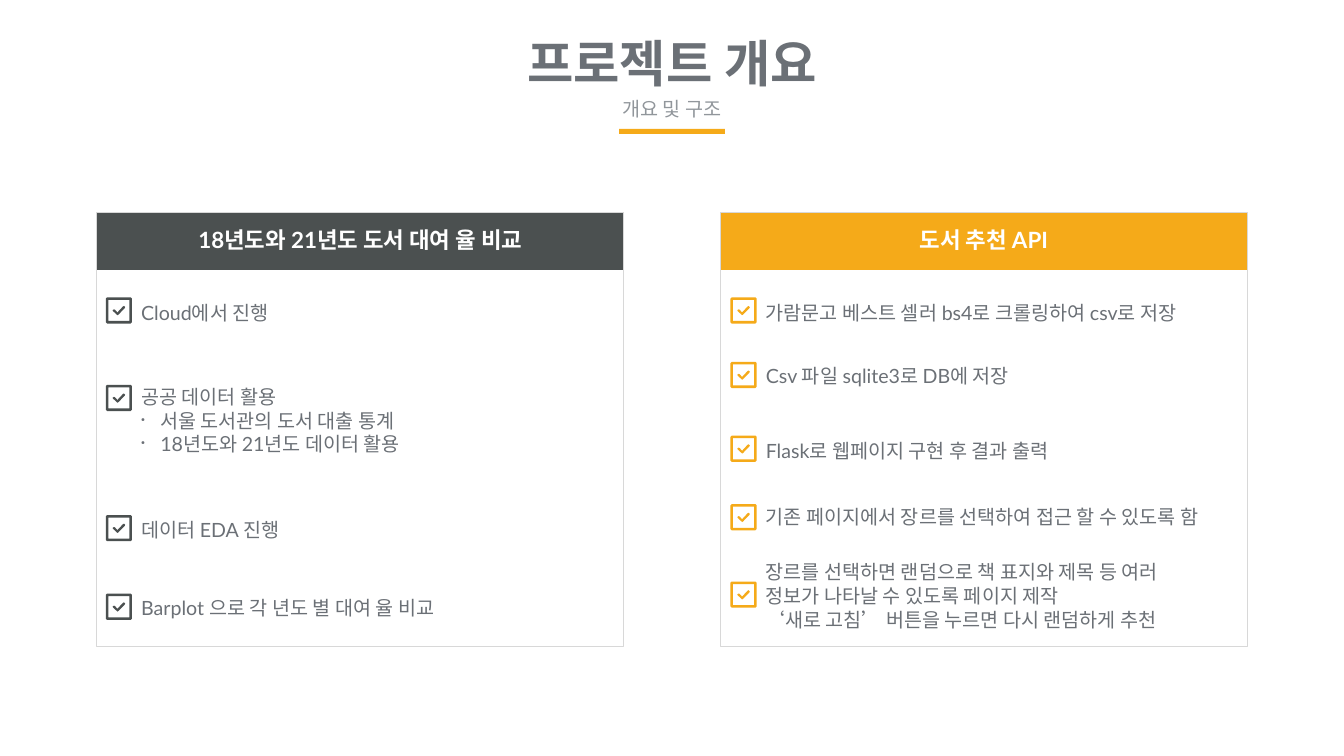
from dataclasses import dataclass

from lxml import etree
from pptx import Presentation
from pptx.dml.color import RGBColor
from pptx.enum.shapes import MSO_SHAPE
from pptx.enum.text import MSO_ANCHOR, MSO_AUTO_SIZE, PP_ALIGN
from pptx.oxml.ns import qn
from pptx.util import Pt

RECT = MSO_SHAPE.RECTANGLE
MIDDLE = MSO_ANCHOR.MIDDLE
NO_FIT = MSO_AUTO_SIZE.NONE
LEFT, CENTER = PP_ALIGN.LEFT, PP_ALIGN.CENTER


@dataclass(frozen=True)
class Theme:
    font: str = "Lato"
    gray: str = "6B7076"
    light: str = "91969B"
    dark: str = "4B5050"
    amber: str = "F5AA19"
    border: str = "D8D8D8"
    white: str = "FFFFFF"
    title: int = 36
    heading: int = 16
    body: int = 14


@dataclass(frozen=True)
class Item:
    icon: float         # top of the check box, from the card top
    middle: float       # middle of the text, from the card top
    lines: tuple
    width: float = 284.4
    height: float = 17.3


THEME = Theme()

# Check box outlines in tenths of a point: frame, opening, tick
CHECK_BOX = (
    ((9, 0), (178, 0), (187, 9), (187, 178), (178, 187),
     (9, 187), (0, 178), (0, 9)),
    ((18, 18), (18, 169), (169, 169), (169, 18)),
    ((58, 86), (65, 88), (83, 108), (122, 66), (130, 62), (138, 70),
     (135, 78), (90, 124), (83, 128), (79, 124), (51, 98), (49, 92)),
)

LEFT_ITEMS = (
    Item(60.5, 71.3, ("Cloud에서 진행",)),
    Item(123, 148.3, ("공공 데이터 활용",
                      "• 서울 도서관의 도서 대출 통계",
                      "• 18년도와 21년도 데이터 활용"), height=63.4),
    Item(216, 226.1, ("데이터 EDA 진행",)),
    Item(272.2, 282.2, ("Barplot 으로 각 년도 별 대여 율 비교",)),
)
RIGHT_ITEMS = (
    Item(60.5, 71.3, ("가람문고 베스트 셀러 bs4로 크롤링하여 csv로 저장",),
         323.3, 24.5),
    Item(106.6, 116.3, ("Csv 파일 sqlite3로 DB에 저장",), height=25.2),
    Item(159.3, 169.9, ("Flask로 웹페이지 구현 후 결과 출력",)),
    Item(208.2, 217.4, ("기존 페이지에서 장르를 선택하여 접근 할 수 있도록 함",),
         337, 18.7),
    Item(263.5, 273.6, ("장르를 선택하면 랜덤으로 책 표지와 제목 등 여러 "
                        "정보가 나타날 수 있도록 페이지 제작",
                        "‘새로 고침’ 버튼을 누르면 다시 랜덤하게 추천"), 311.8),
)


def color(value):
    return RGBColor.from_string(value)


def add_bullet(p):
    pPr = p._p.get_or_add_pPr()
    pPr.set("marL", str(Pt(13.7)))
    pPr.set("indent", str(-Pt(13.7)))
    etree.SubElement(pPr, qn("a:buSzPct")).set("val", "25000")
    etree.SubElement(pPr, qn("a:buChar")).set("char", "●")


def set_text(sp, lines, size, ink, align=LEFT, bold=False):
    tf = sp.text_frame
    frame = dict(word_wrap=True, auto_size=NO_FIT, vertical_anchor=MIDDLE,
                 margin_left=0, margin_top=0, margin_right=0, margin_bottom=0)
    for name, value in frame.items():
        setattr(tf, name, value)
    for i, line in enumerate(lines):
        p = tf.paragraphs[0] if i == 0 else tf.add_paragraph()
        p.alignment = align
        if line.startswith("• "):
            add_bullet(p)
        r = p.add_run()
        r.text = line.removeprefix("• ")
        for name, value in dict(name=THEME.font, size=Pt(size),
                                bold=bold).items():
            setattr(r.font, name, value)
        r.font.color.rgb = color(ink)


def add_text(slide, x, y, w, h, lines, size, ink, **style):
    sp = slide.shapes.add_textbox(Pt(x), Pt(y), Pt(w), Pt(h))
    set_text(sp, lines, size, ink, **style)


def paint(sp, fill=None, line=None):
    sp.shadow.inherit = False
    if fill:
        sp.fill.solid()
        sp.fill.fore_color.rgb = color(fill)
    else:
        sp.fill.background()
    if line:
        sp.line.color.rgb = color(line)
        sp.line.width = Pt(0.75)
    else:
        sp.line.fill.background()


def add_rect(slide, x, y, w, h, **style):
    sp = slide.shapes.add_shape(RECT, Pt(x), Pt(y), Pt(w), Pt(h))
    paint(sp, **style)


def add_check_box(slide, x, y, fill):
    first, *others = CHECK_BOX
    builder = slide.shapes.build_freeform(*first[0], scale=Pt(1) / 10)
    builder.add_line_segments(first[1:], close=True)
    for outline in others:
        builder.move_to(*outline[0])
        builder.add_line_segments(outline[1:], close=True)
    paint(builder.convert_to_shape(Pt(x), Pt(y)), fill=fill)


def add_header(slide, x, y, w):
    # Title, subtitle and accent bar share one centre line
    sp = slide.shapes.title
    box = dict(left=x + (w - 392.4) / 2, top=y, width=392.4, height=43.9)
    for name, value in box.items():
        setattr(sp, name, Pt(value))
    set_text(sp, ("프로젝트 개요",), THEME.title, THEME.gray,
             align=CENTER, bold=True)
    add_text(slide, x, y + 46.8, w, 17.3, ("개요 및 구조",),
             THEME.body, THEME.light, align=CENTER)
    add_rect(slide, x + (w - 75.6) / 2, y + 69.8, 75.6, 3.6, fill=THEME.amber)


def add_card(slide, x, y, w, h, heading, accent, inset, items):
    # Heading band and frame
    add_rect(slide, x, y, w, 41, fill=accent)
    add_rect(slide, x, y, w, h, line=THEME.border)
    add_text(slide, x + (w - 284.4) / 2, y + 10.8, 284.4, 17.3, (heading,),
             THEME.heading, THEME.white, align=CENTER, bold=True)
    # Check list
    for item in items:
        add_check_box(slide, x + inset, y + item.icon, accent)
        add_text(slide, x + inset + 25.2, y + item.middle - item.height / 2,
                 item.width, item.height, item.lines, THEME.body, THEME.gray)


def main():
    prs = Presentation()
    prs.slide_width, prs.slide_height = Pt(960), Pt(540)
    slide = prs.slides.add_slide(prs.slide_layouts[5])
    add_header(slide, 130, 22.3, 700)
    add_card(slide, 69.1, 151.9, 376.6, 309.6,
             "18년도와 21년도 도서 대여 율 비교", THEME.dark, 6.5, LEFT_ITEMS)
    add_card(slide, 514.4, 151.9, 376.6, 309.6,
             "도서 추천 API", THEME.amber, 7.4, RIGHT_ITEMS)
    prs.save("out.pptx")


if __name__ == "__main__":
    main()
